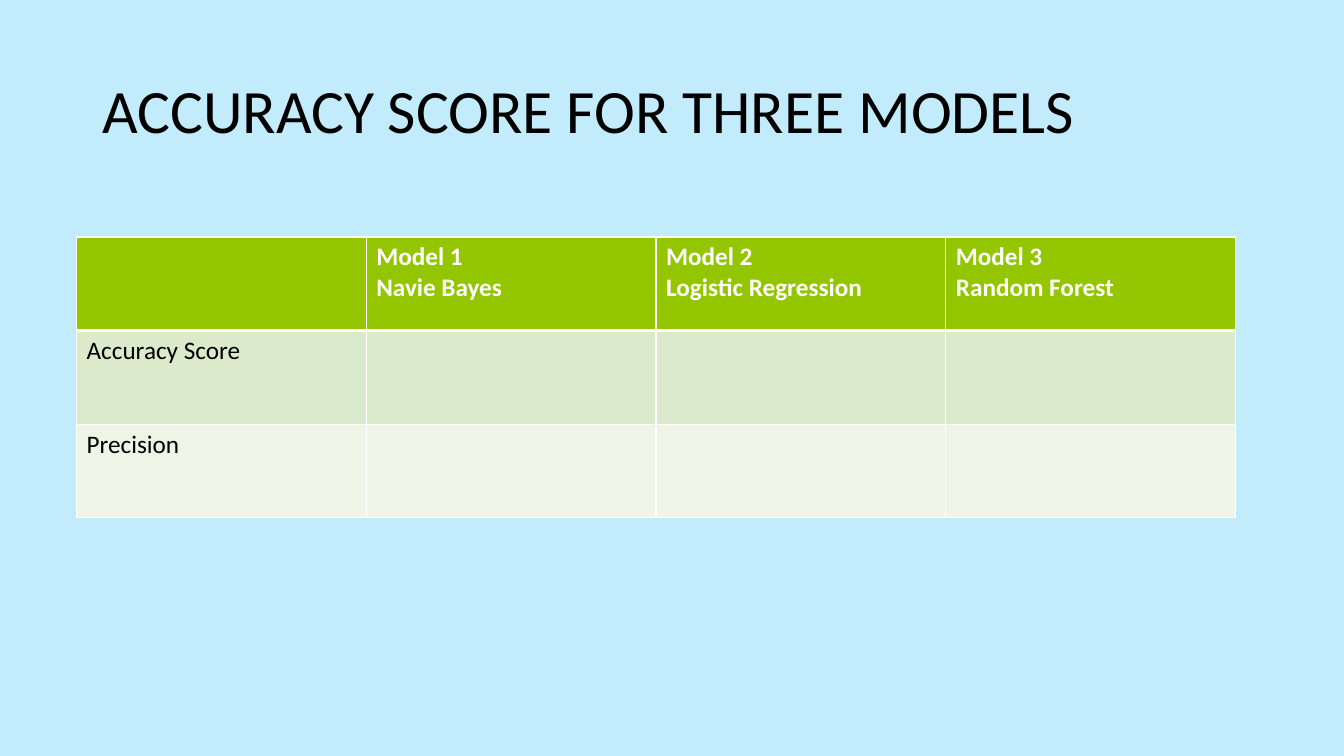
import pptx
import pptx.dml.color
import pptx.enum.text
import pptx.util
from lxml import etree
from pptx.oxml.ns import qn
from pptx.util import Cm, Pt

RGB = pptx.dml.color.RGBColor.from_string
THEME = {
    "font": "Calibri",
    "title_size": Pt(44),
    "cell_size": Pt(18),
    "background": RGB("C2ECFB"),
    "text": RGB("000000"),
    "header_text": RGB("FFFFFF"),
    "row_fills": [RGB("94C600"), RGB("DCEACC"), RGB("EEF5E7")],
    "border": "FFFFFF",
    "thin": Pt(1),
    "thick": Pt(3),
}
SCORES = [
    ["", "Model 1\nNavie Bayes", "Model 2\nLogistic Regression", "Model 3\nRandom Forest"],
    ["Accuracy Score", "", "", ""],
    ["Precision", "", "", ""],
]


def style_font(font, size, color, bold=False):
    font.name = THEME["font"]
    font.size = size
    font.bold = bold
    font.color.rgb = color


def add_border(cell, side, width):
    properties = cell._tc.get_or_add_tcPr()
    line = etree.SubElement(properties, qn(f"a:ln{side}"), w=str(int(width)))
    fill = etree.SubElement(line, qn("a:solidFill"))
    etree.SubElement(fill, qn("a:srgbClr"), val=THEME["border"])


deck = pptx.Presentation()
deck.slide_width = Cm(33.87)
deck.slide_height = Cm(19.05)
page = deck.slides.add_slide(deck.slide_layouts[6])
page.background.fill.solid()
page.background.fill.fore_color.rgb = THEME["background"]

title = page.shapes.add_textbox(Cm(2.33), Cm(1.01), Cm(29.21), Cm(3.68))
title.text_frame.word_wrap = True
title.text_frame.vertical_anchor = pptx.enum.text.MSO_ANCHOR.MIDDLE
para = title.text_frame.paragraphs[0]
para.text = "ACCURACY SCORE FOR THREE MODELS"
para.line_spacing = 0.9
style_font(para.font, THEME["title_size"], THEME["text"])

row_height = Cm(2.36)
table = page.shapes.add_table(
    len(SCORES), len(SCORES[0]), Cm(1.93), Cm(5.97), Cm(29.21), row_height * len(SCORES)
).table
for row_index, labels in enumerate(SCORES):
    table.rows[row_index].height = row_height
    is_header = row_index == 0
    color = THEME["header_text"] if is_header else THEME["text"]
    widths = {
        "L": THEME["thin"],
        "R": THEME["thin"],
        "T": THEME["thick"] if row_index == 1 else THEME["thin"],
        "B": THEME["thick"] if is_header else THEME["thin"],
    }
    for column_index, label in enumerate(labels):
        cell = table.cell(row_index, column_index)
        cell.text = label
        for para in cell.text_frame.paragraphs:
            style_font(para.font, THEME["cell_size"], color, is_header)
        for side, width in widths.items():
            add_border(cell, side, width)
        cell.fill.solid()
        cell.fill.fore_color.rgb = THEME["row_fills"][row_index]

deck.save("out.pptx")
